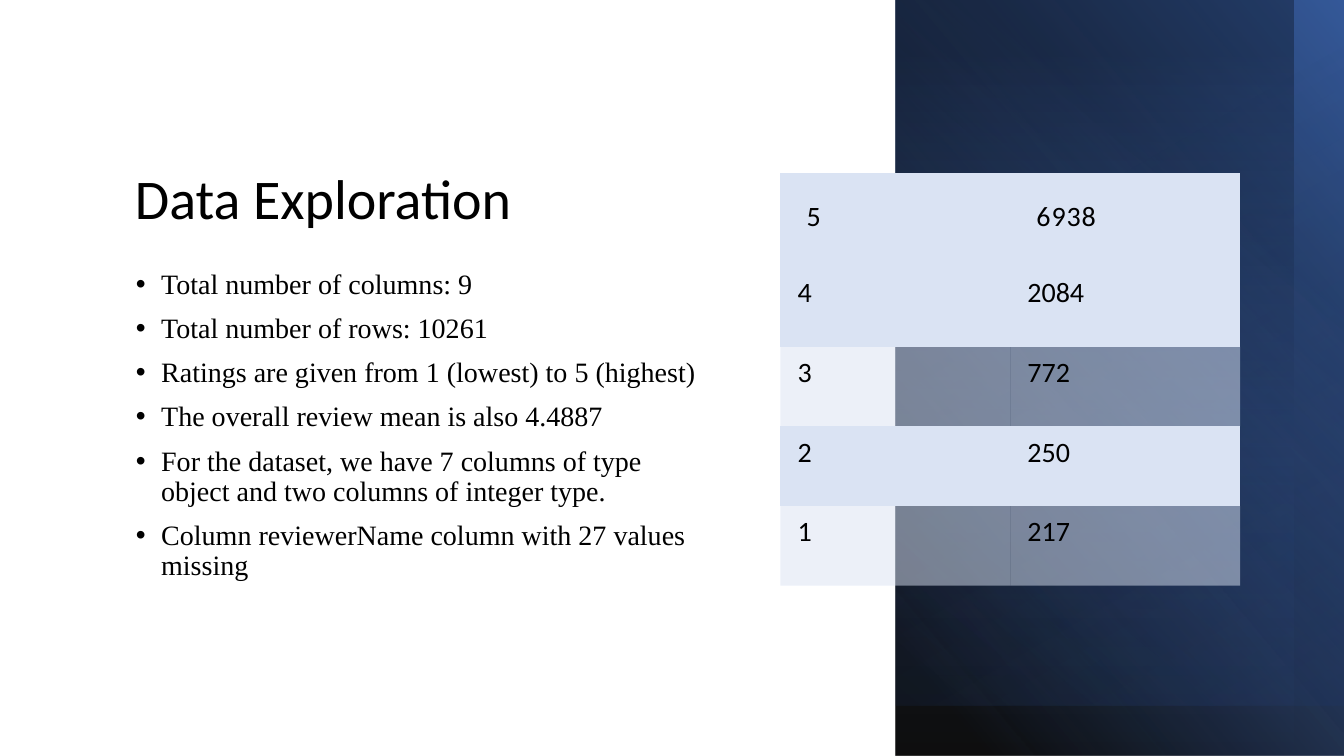
from dataclasses import dataclass

from pptx import Presentation
from pptx.dml.color import RGBColor
from pptx.enum.shapes import MSO_SHAPE
from pptx.enum.text import MSO_ANCHOR
from pptx.oxml import parse_xml
from pptx.oxml.ns import nsdecls
from pptx.util import Inches, Pt


@dataclass(frozen=True)
class Theme:
    text: str = "000000"
    black: str = "000000"
    blue: str = "4472C4"
    navy: str = "203864"
    cell: str = "DAE3F3"
    heading_font: str = "Calibri"
    body_font: str = "Times New Roman"
    title_size: int = 40
    body_size: int = 20


theme = Theme()


def write_text(frame, text, font, size, bullet=False, line_spacing=None, letter_spacing=0):
    """Write each line of text as a paragraph of the frame."""
    frame.word_wrap = True
    for index, line in enumerate(text.split("\n")):
        paragraph = frame.add_paragraph() if index else frame.paragraphs[0]
        if line_spacing:
            paragraph.line_spacing = line_spacing
        if bullet:
            paragraph.space_before = Pt(10)
            properties = paragraph._p.get_or_add_pPr()
            properties.set("marL", str(Inches(0.25)))
            properties.set("indent", str(-Inches(0.25)))
            properties.append(parse_xml(f'<a:buFont {nsdecls("a")} typeface="Arial"/>'))
            properties.append(parse_xml(f'<a:buChar {nsdecls("a")} char="•"/>'))
        run = paragraph.add_run()
        run.text = line
        run.font.name = font
        run.font.size = Pt(size)
        run.font.color.rgb = RGBColor.from_string(theme.text)
        if letter_spacing:
            run._r.get_or_add_rPr().set("spc", str(round(letter_spacing * 100)))


def set_gradient(shape, stops, angle):
    """Fill a shape with (position, colour, opacity) stops, all in percent."""
    stop_xml = "".join(
        f'<a:gs pos="{position * 1000}"><a:srgbClr val="{color}">'
        f'<a:alpha val="{opacity * 1000}"/></a:srgbClr></a:gs>'
        for position, color, opacity in stops
    )
    shape.fill.background()
    properties = shape._element.spPr
    properties.replace(
        properties.find("{*}noFill"),
        parse_xml(
            f'<a:gradFill {nsdecls("a")} rotWithShape="1"><a:gsLst>{stop_xml}</a:gsLst>'
            f'<a:lin ang="{angle * 60000}" scaled="0"/></a:gradFill>'
        ),
    )


presentation = Presentation()
presentation.slide_width = Inches(13.33)
presentation.slide_height = Inches(7.5)
slide = presentation.slides.add_slide(presentation.slide_layouts[6])

# Title and findings
title = slide.shapes.add_textbox(Inches(1.24), Inches(0.55), Inches(5.82), Inches(1.8))
title.text_frame.vertical_anchor = MSO_ANCHOR.BOTTOM
write_text(title.text_frame, "Data Exploration", font=theme.heading_font,
           size=theme.title_size, line_spacing=0.9)

findings = "\n".join([
    "Total number of columns: 9",
    "Total number of rows: 10261",
    "Ratings are given from 1 (lowest) to 5 (highest)",
    "The overall review mean is also 4.4887",
    "For the dataset, we have 7 columns of type object and two columns of integer type.",
    "Column reviewerName column with 27 values missing",
])
body = slide.shapes.add_textbox(Inches(1.25), Inches(2.63), Inches(5.81), Inches(3.87))
write_text(body.text_frame, findings, font=theme.body_font, size=theme.body_size,
           bullet=True, line_spacing=0.9)

# Layered gradient panel: width, height, angle, stops
panel_layers = [
    (4.48, 7.5, 40, [(8, theme.black, 94), (100, theme.blue, 100)]),
    (4.48, 7, 300, [(31, theme.navy, 0), (100, theme.navy, 26)]),
    (4.45, 7, 50, [(0, theme.blue, 0), (72, theme.black, 21)]),
    (3.95, 7.5, 90, [(0, theme.blue, 0), (93, theme.black, 29)]),
]
for width, height, angle, stops in panel_layers:
    layer = slide.shapes.add_shape(
        MSO_SHAPE.RECTANGLE, Inches(8.88), 0, Inches(width), Inches(height))
    layer.shadow.inherit = False
    layer.line.fill.background()
    layer.rotation = 180
    layer._element.spPr.xfrm.set("flipH", "1")
    set_gradient(layer, stops, angle)

# Rating counts
ratings = [(5, 6938), (4, 2084), (3, 772), (2, 250), (1, 217)]
table_frame = slide.shapes.add_table(
    len(ratings), 2, Inches(7.74), Inches(1.72), Inches(4.56), Inches(4.09))
table = table_frame.table
table.first_row = False
table.horz_banding = False
table._tbl.tblPr.find("{*}tableStyleId").text = "{2D5ABB26-0587-4C30-8999-92F81FD0307C}"

for row_index, values in enumerate(ratings):
    is_first = row_index == 0
    is_translucent = row_index in (2, 4)
    table.rows[row_index].height = Inches(0.93 if is_first else 0.79)
    for column_index, value in enumerate(values):
        cell = table.cell(row_index, column_index)
        side_margin = Inches(0.26 if is_first else 0.17)
        cell.margin_left = cell.margin_right = cell.margin_bottom = side_margin
        cell.margin_top = Inches(0.26 if is_first else 0.09)
        cell.fill.solid()
        cell.fill.fore_color.rgb = RGBColor.from_string(theme.cell)
        if is_translucent:
            color = cell._tc.tcPr.find("{*}solidFill/{*}srgbClr")
            color.append(parse_xml(f'<a:alpha {nsdecls("a")} val="50000"/>'))
        write_text(cell.text_frame, str(value), font=theme.heading_font,
                   size=theme.body_size, letter_spacing=0.6 if is_first else 0)

presentation.save("out.pptx")
